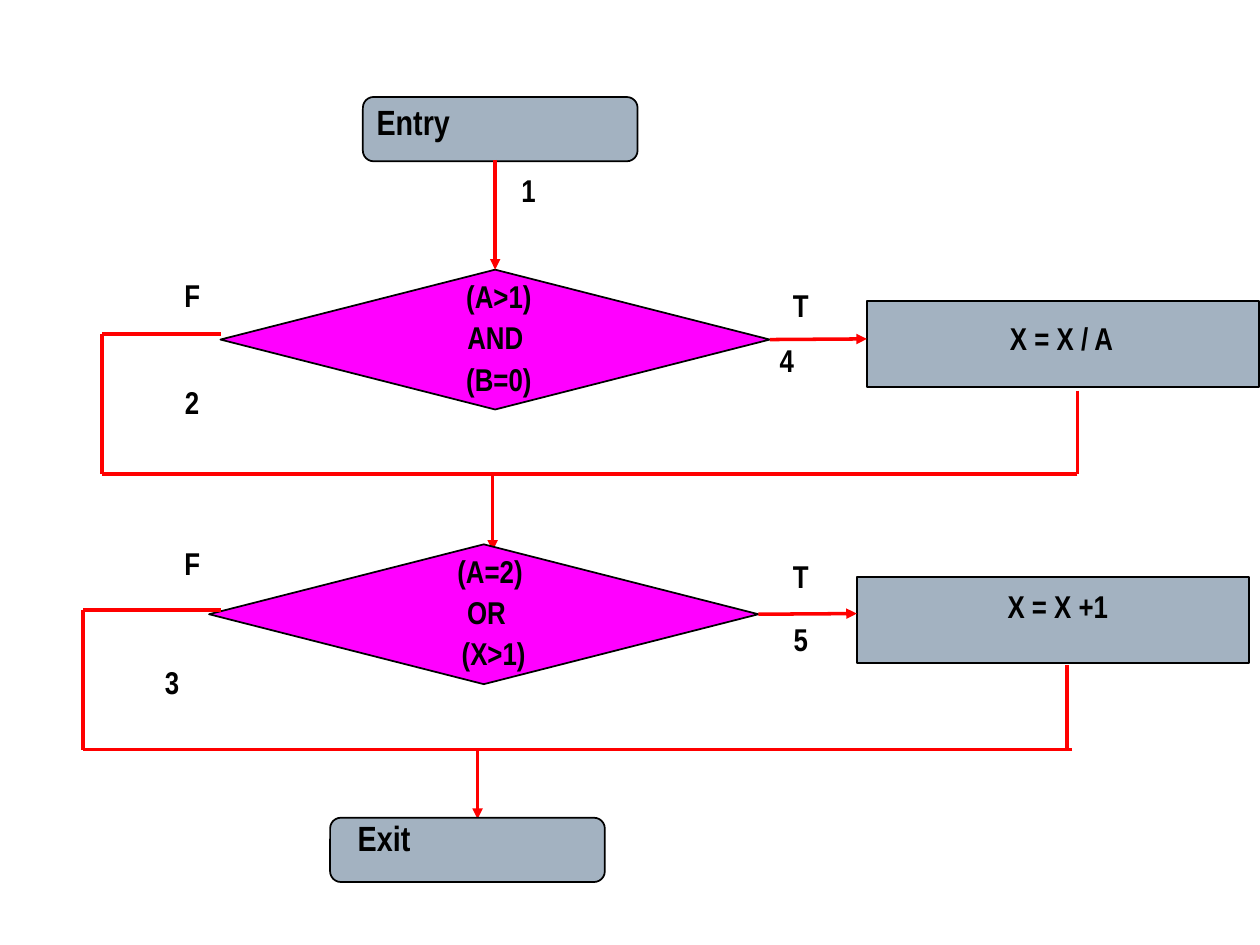
from pptx import Presentation
from pptx.dml.color import RGBColor
from pptx.enum.shapes import MSO_CONNECTOR, MSO_SHAPE
from pptx.enum.text import MSO_ANCHOR, PP_ALIGN
from pptx.oxml.ns import qn
from pptx.util import Inches, Pt
from lxml.etree import SubElement

BLACK = RGBColor(0x00, 0x00, 0x00)
GRAY = RGBColor(0xA3, 0xB2, 0xC1)
MAGENTA = RGBColor(0xFF, 0x00, 0xFF)
RED = RGBColor(0xFF, 0x00, 0x00)
FONT = "Arial Narrow"


def add_box(slide, kind, x, y, w, h, fill):
    s = slide.shapes.add_shape(kind, Inches(x), Inches(y), Inches(w), Inches(h))
    s.shadow.inherit = False
    s.fill.solid()
    s.fill.fore_color.rgb = fill
    s.line.color.rgb = BLACK
    s.line.width = Pt(1)
    return s


def add_terminal(slide, x, y):
    return add_box(slide, MSO_SHAPE.FLOWCHART_ALTERNATE_PROCESS, x, y, 2.18, 0.51, GRAY)


def add_decision(slide, x, y):
    return add_box(slide, MSO_SHAPE.FLOWCHART_DECISION, x, y, 4.36, 1.11, MAGENTA)


def add_process(slide, x, y):
    return add_box(slide, MSO_SHAPE.FLOWCHART_PROCESS, x, y, 3.11, 0.68, GRAY)


def add_line(slide, x1, y1, x2, y2, arrow=False):
    c = slide.shapes.add_connector(MSO_CONNECTOR.STRAIGHT, Inches(x1), Inches(y1),
                                   Inches(x2), Inches(y2))
    c.line.color.rgb = RED
    c.line.width = Pt(2)
    if arrow:
        SubElement(c.line._get_or_add_ln(), qn("a:tailEnd"), type="triangle")
    SubElement(c._element.spPr, qn("a:effectLst"))
    return c


def add_text(slide, text, x, y, w=1.11, h=0.43, size=18, align=PP_ALIGN.CENTER, after=2):
    tf = slide.shapes.add_textbox(Inches(x), Inches(y), Inches(w), Inches(h)).text_frame
    tf.word_wrap = True
    tf.vertical_anchor = MSO_ANCHOR.TOP
    for i, line in enumerate(text.split("\n")):
        p = tf.paragraphs[0] if i == 0 else tf.add_paragraph()
        p.alignment = align
        p.space_after = Pt(after)
        r = p.add_run()
        r.text = line
        r.font.name = FONT
        r.font.size = Pt(size)
        r.font.bold = True
        r.font.color.rgb = BLACK


def add_branches(slide, decision, process_x, true_y, return_x, process_bottom,
                 false_x, false_y, merge_y, merge_end):
    arrow = add_line(slide, process_x - 0.78, true_y, process_x, true_y, arrow=True)
    arrow.begin_connect(decision, 3)
    add_line(slide, return_x, process_bottom, return_x, merge_y)
    add_line(slide, merge_end, merge_y, false_x, merge_y)
    add_line(slide, 1.75, false_y, false_x, false_y)
    add_line(slide, false_x, false_y, false_x, merge_y)


def add_labels(slide):
    for text, x, y in [("Entry", 2.89, 0.75), ("Exit", 2.74, 6.43)]:
        add_text(slide, text, x, y, w=2.41, size=20, align=PP_ALIGN.LEFT, after=0)
    for text, x, y in [("(A>1)\nAND \n(B=0)", 2.48, 2.15), ("(A=2)\nOR \n (X>1)", 2.41, 4.33)]:
        add_text(slide, text, x, y, w=2.96, h=1.09)
    for text, x, y in [("X = X / A", 6.95, 2.48), ("X = X +1", 6.92, 4.61)]:
        add_text(slide, text, x, y, w=2.95)
    for text, x, y in [("1", 3.64, 1.31), ("2", 0.97, 2.99), ("3", 0.81, 5.21),
                       ("4", 5.69, 2.66), ("5", 5.8, 4.87), ("T", 5.8, 2.22),
                       ("T", 5.8, 4.37), ("F", 0.97, 2.14), ("F", 0.97, 4.27)]:
        add_text(slide, text, x, y)


def main():
    prs = Presentation()
    prs.slide_width, prs.slide_height = Inches(10), Inches(7.5)
    slide = prs.slides.add_slide(prs.slide_layouts[6])

    add_terminal(slide, 2.88, 0.77)
    first = add_decision(slide, 1.75, 2.14)
    add_process(slide, 6.88, 2.39)
    add_line(slide, 3.93, 1.27, 3.93, 2.14, arrow=True).end_connect(first, 0)
    add_line(slide, 3.91, 3.76, 3.91, 4.37, arrow=True)
    add_branches(slide, first, process_x=6.88, true_y=2.69, return_x=8.55,
                 process_bottom=3.1, false_x=0.81, false_y=2.65, merge_y=3.76, merge_end=8.55)

    second = add_decision(slide, 1.66, 4.32)
    add_process(slide, 6.8, 4.58)
    add_branches(slide, second, process_x=6.8, true_y=4.87, return_x=8.47,
                 process_bottom=5.28, false_x=0.66, false_y=4.84, merge_y=5.95, merge_end=8.51)
    add_line(slide, 3.79, 5.95, 3.79, 6.5, arrow=True)
    add_terminal(slide, 2.62, 6.49)

    add_labels(slide)
    prs.save("out.pptx")


if __name__ == "__main__":
    main()
